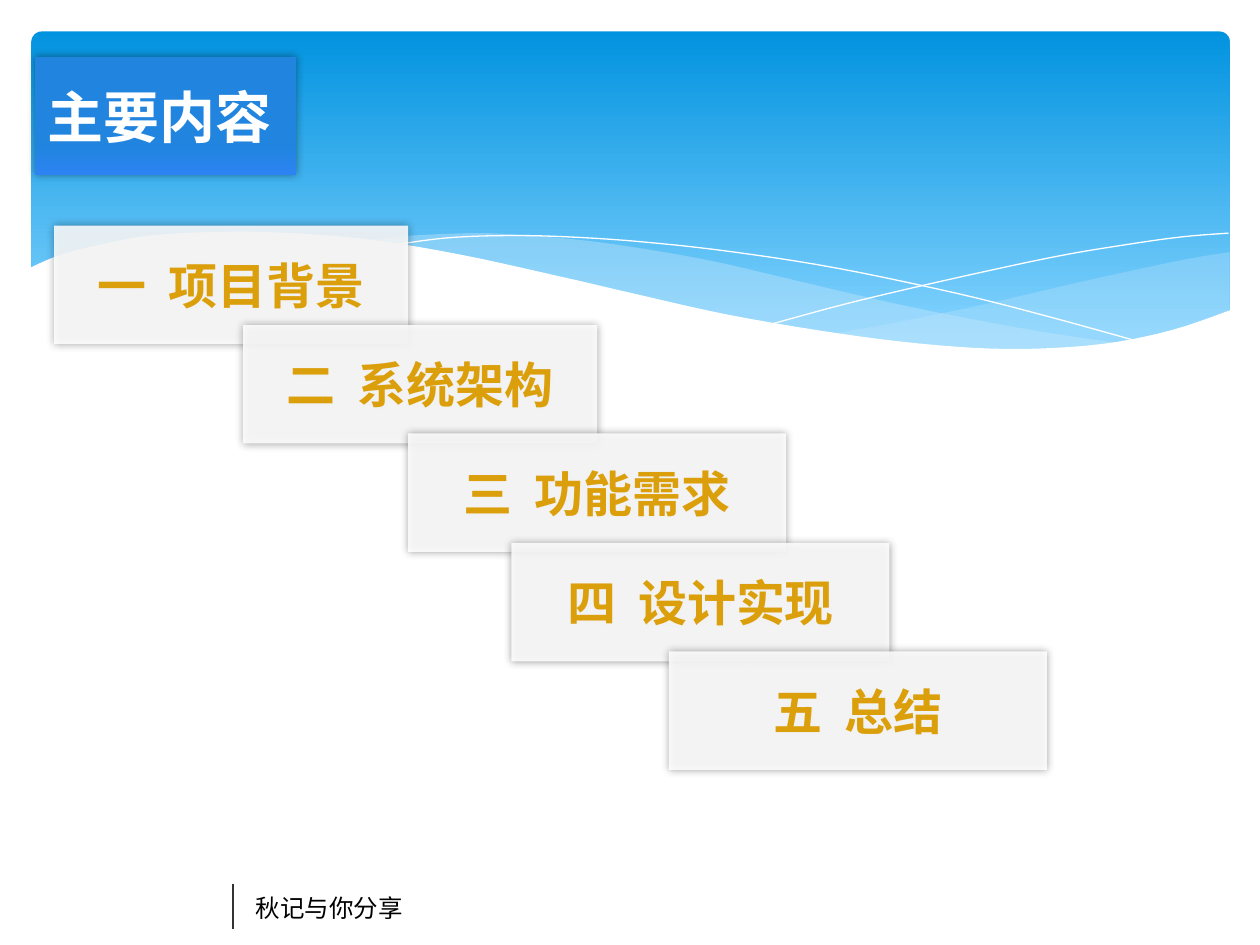
from typing import NamedTuple, Optional

from lxml import etree
from pptx import Presentation
from pptx.dml.color import RGBColor
from pptx.enum import shapes, text
from pptx.oxml.ns import qn
from pptx.util import Inches, Pt

Point = tuple[float, float]
CJK = "Noto Sans CJK SC"


class Step(NamedTuple):
    label: str
    left: float
    top: float
    width: float


class Wave(NamedTuple):
    """Smooth edges joined in order; with no fill it is an open white line."""
    edges: list[list[Point]]
    fill: Optional[str] = None
    alpha: int = 100


STEPS = [
    Step("一  项目背景", 0.43, 1.79, 2.81),
    Step("二  系统架构", 1.93, 2.58, 2.81),
    Step("三  功能需求", 3.24, 3.44, 3),
    Step("四  设计实现", 4.06, 4.31, 3),
    Step("五  总结", 5.31, 5.17, 3),
]

WAVES = [
    Wave([[(9.76, 2), (9.35, 2.07), (8.61, 2.23), (7.79, 2.42), (7.06, 2.57), (6.61, 2.65)],
          [(6.61, 2.65), (7.05, 2.71), (7.57, 2.76), (8.03, 2.78), (8.54, 2.76),
           (8.97, 2.7), (9.35, 2.62), (9.76, 2.47)]], "C6E7FC", 29),
    Wave([[(8.93, 2.73), (8.37, 2.65), (7.75, 2.54), (7.06, 2.4), (6.29, 2.22), (5.69, 2.08),
           (5.14, 1.98), (4.65, 1.91), (4.2, 1.87), (3.8, 1.85), (3.28, 1.87), (2.86, 1.91)],
          [(2.86, 1.91), (3.42, 1.99), (4.04, 2.11), (4.49, 2.22), (5.3, 2.4), (6.01, 2.55),
           (6.65, 2.66), (7.22, 2.74), (7.73, 2.77), (8.18, 2.78), (8.57, 2.77),
           (8.93, 2.73)]], "C6E7FC", 40),
    Wave([[(3.09, 1.95), (3.53, 1.89), (4.01, 1.87), (4.5, 1.88), (5.1, 1.92), (5.82, 2),
           (6.65, 2.13), (7.6, 2.33), (8.31, 2.51), (9.07, 2.72)]]),
    Wave([[(6.13, 2.57), (6.72, 2.41), (7.48, 2.23), (8.36, 2.04), (8.95, 1.94),
           (9.38, 1.88), (9.75, 1.85)]]),
    Wave([[(9.77, 2.46), (9.3, 2.62), (8.75, 2.73), (8.09, 2.77), (7.44, 2.74), (6.68, 2.65),
           (5.79, 2.5), (5.03, 2.33), (4.47, 2.2), (3.65, 2.02), (2.92, 1.9), (2.3, 1.85),
           (1.77, 1.84), (1.19, 1.87), (0.76, 1.95), (0.46, 2.03), (0.23, 2.13)],
          [(0.23, 3.29)], [(9.77, 3.29)]], "FFFFFF"),
]


def rgb(code: str) -> RGBColor:
    return RGBColor.from_string(code)


def set_alpha(color, percent: int) -> None:
    etree.SubElement(color, qn("a:alpha"), val=str(percent * 1000))


def fill_solid(s, code: str, alpha: int = 100) -> None:
    s.fill.solid()
    s.fill.fore_color.rgb = rgb(code)
    if alpha < 100:
        set_alpha(s._element.spPr.find(qn("a:solidFill")).find(qn("a:srgbClr")), alpha)


def fill_downward(s, *stops: tuple[float, str]) -> None:
    """Fill with a top-to-bottom gradient of two stops."""
    s.fill.gradient()
    s.fill.gradient_angle = 270
    for stop, (position, code) in zip(s.fill.gradient_stops, stops):
        stop.position = position
        stop.color.rgb = rgb(code)


def add_glow_shadow(s) -> None:
    """Give the shape a soft, centred black shadow."""
    s.shadow.inherit = False
    effects = s._element.spPr.find(qn("a:effectLst"))
    shadow = etree.SubElement(effects, qn("a:outerShdw"), blurRad=str(Pt(5)), dist="0",
                              dir="0", algn="ctr", rotWithShape="0")
    set_alpha(etree.SubElement(shadow, qn("a:srgbClr"), val="000000"), 40)


def add_block(slide, kind, left: float, top: float, width: float, height: float):
    s = slide.shapes.add_shape(kind, Inches(left), Inches(top), Inches(width), Inches(height))
    s.shadow.inherit = False
    s.line.fill.background()
    return s


def write(s, words: str, size: float, font: str, code: str, bold: bool = False,
          align=text.PP_ALIGN.LEFT) -> None:
    p = s.text_frame.paragraphs[0]
    p.alignment = align
    r = p.add_run()
    r.text = words
    r.font.size, r.font.bold, r.font.name = Pt(size), bold, font
    r.font.color.rgb = rgb(code)
    etree.SubElement(r._r.get_or_add_rPr(), qn("a:ea"), typeface=CJK)


def smooth(points: list[Point], parts: int = 5) -> list[Point]:
    """Return points along the Catmull-Rom curve through the given points."""
    padded = [points[0], *points, points[-1]]
    curve = [points[0]]
    for a, b, c, d in zip(padded, padded[1:], padded[2:], padded[3:]):
        for t in (n / parts for n in range(1, parts + 1)):
            x, y = (q + t / 2 * (r - p + t * (2 * p - 5 * q + 4 * r - e
                                              + t * (3 * (q - r) + e - p)))
                    for p, q, r, e in zip(a, b, c, d))
            curve.append((x, y))
    return curve


def add_wave(slide, wave: Wave) -> None:
    outline = [(Inches(x), Inches(y)) for edge in wave.edges for x, y in smooth(edge)]
    builder = slide.shapes.build_freeform(*outline[0])
    builder.add_line_segments(outline[1:], close=wave.fill is not None)
    s = builder.convert_to_shape()
    s.shadow.inherit = False
    if wave.fill:
        fill_solid(s, wave.fill, wave.alpha)
        s.line.fill.background()
    else:
        s.fill.background()
        s.line.color.rgb = rgb("FFFFFF")
        s.line.width = Pt(0)


def add_banner(slide) -> None:
    s = add_block(slide, shapes.MSO_SHAPE.ROUNDED_RECTANGLE, 0.25, 0.25, 9.51, 2.7)
    s.adjustments[0] = 0.03
    fill_downward(s, (0, "0293E0"), (0.9, "83D3FE"))
    for wave in WAVES:
        add_wave(slide, wave)


def add_footer(slide) -> None:
    rule = slide.shapes.add_connector(shapes.MSO_CONNECTOR.STRAIGHT, Inches(1.85),
                                      Inches(7.02), Inches(1.85), Inches(7.37))
    rule.line.color.rgb = rgb("333333")
    rule.line.width = Pt(0.75)
    etree.SubElement(rule._element.spPr, qn("a:effectLst"))
    box = slide.shapes.add_textbox(Inches(1.93), Inches(7.04), Inches(1.38), Inches(0.34))
    box.text_frame.word_wrap = False
    box.text_frame.auto_size = text.MSO_AUTO_SIZE.SHAPE_TO_FIT_TEXT
    write(box, "秋记与你分享", 14, "DejaVu Sans", "000000")


def add_title(slide) -> None:
    s = add_block(slide, shapes.MSO_SHAPE.RECTANGLE, 0.28, 0.45, 2.07, 0.94)
    fill_downward(s, (0.77, "2185DF"), (1, "2D83F4"))
    add_glow_shadow(s)
    write(s, "主要内容", 32, "DejaVu Sans", "FFFFFF", bold=True)


def add_step(slide, step: Step) -> None:
    s = add_block(slide, shapes.MSO_SHAPE.RECTANGLE, step.left, step.top, step.width, 0.94)
    fill_solid(s, "FFFFFF", 87)
    add_glow_shadow(s)
    write(s, step.label, 28, CJK, "DC9F0C", bold=True, align=text.PP_ALIGN.CENTER)


def main() -> None:
    prs = Presentation()
    prs.slide_width, prs.slide_height = Inches(10), Inches(7.5)
    slide = prs.slides.add_slide(prs.slide_layouts[6])
    add_banner(slide)
    add_footer(slide)
    add_title(slide)
    for step in STEPS:
        add_step(slide, step)
    prs.save("out.pptx")


if __name__ == "__main__":
    main()
